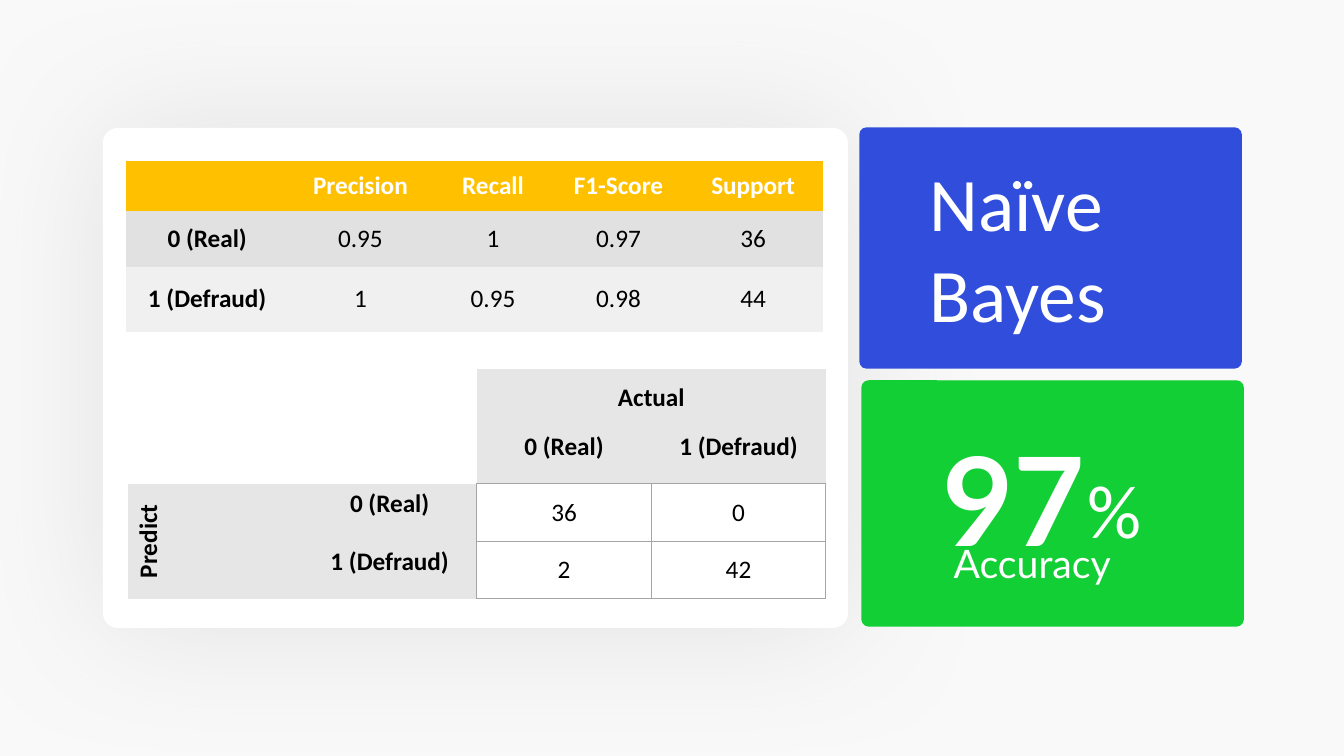
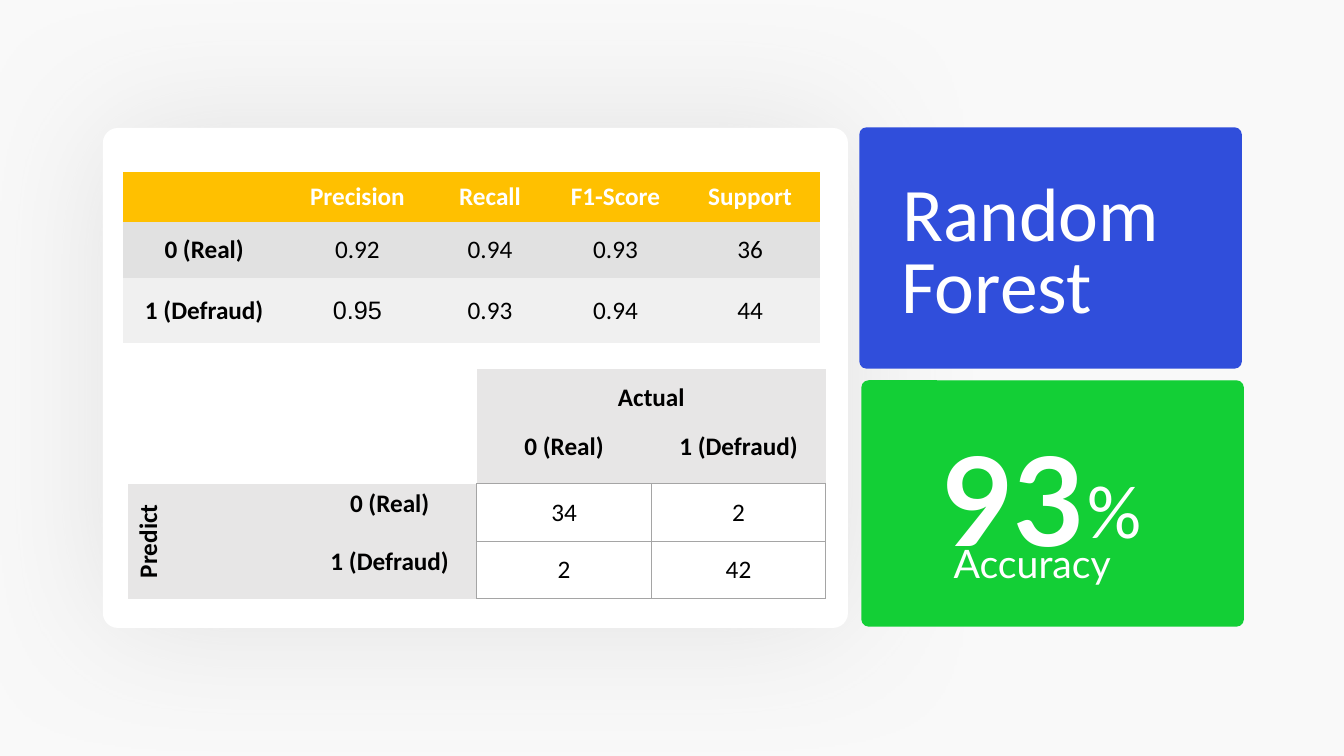
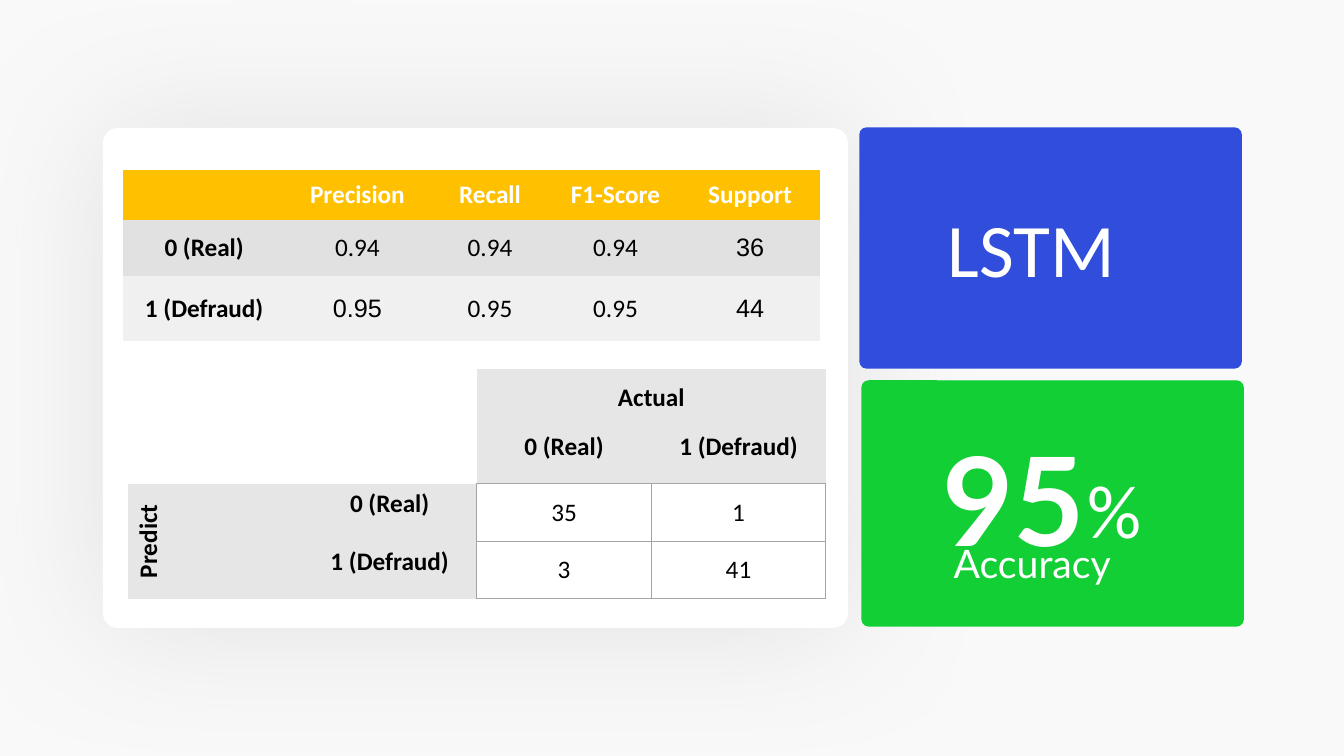
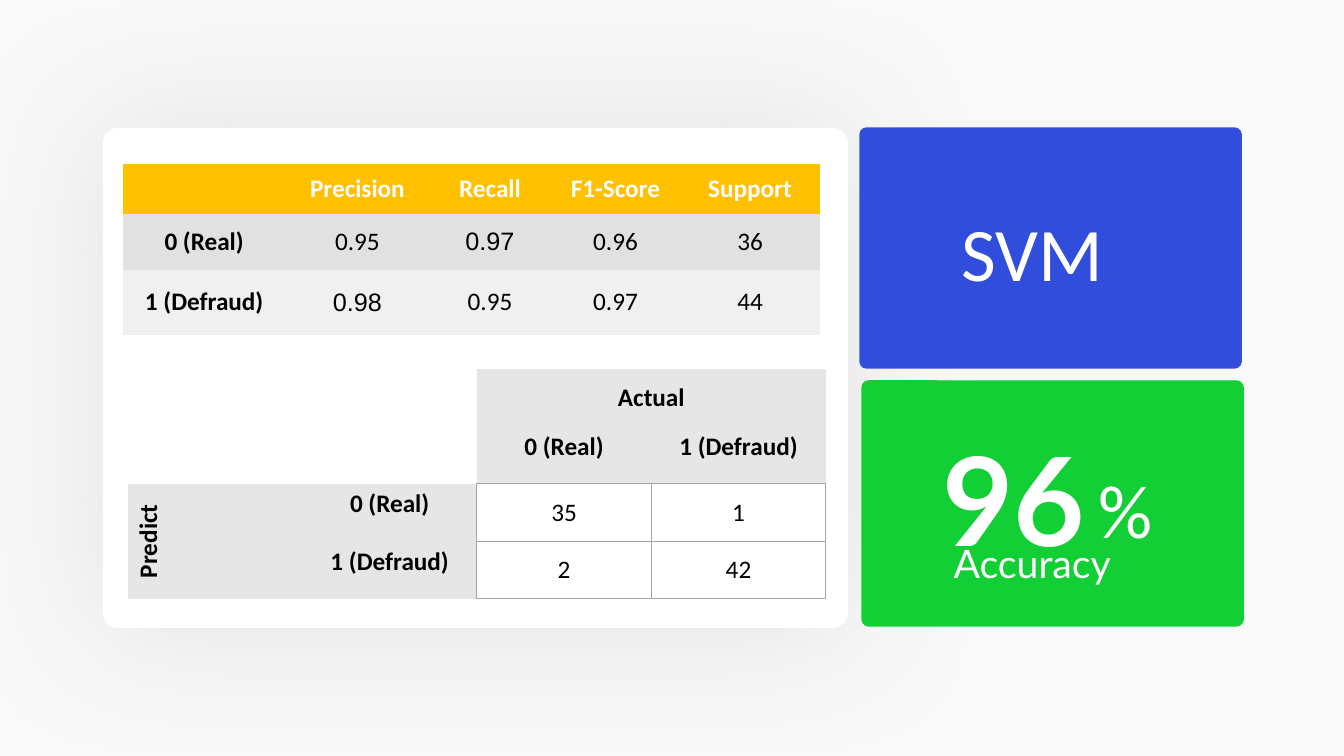
from dataclasses import dataclass
from itertools import product

from lxml import etree
from pptx import Presentation
from pptx import util as u
from pptx.dml import color
from pptx.enum import shapes, text
from pptx.oxml import ns


# Theme: every colour, font and type size
@dataclass(frozen=True)
class Theme:
    page: str = "F9F9F9"
    white: str = "FFFFFF"
    ink: str = "000000"
    blue: str = "304EDB"
    green: str = "13CF36"
    amber: str = "FFC000"
    bands: tuple[str, ...] = ("E1E1E1", "F0F0F0")
    label: str = "E7E6E6"
    grid: str = "A5A5A5"
    shadow: str = "BFBFBF"
    font: str = "Calibri"
    alt_font: str = "Arial"
    score_font: str = "Lato"
    title_size: int = 54
    score_size: int = 88
    caption_size: int = 28
    table_size: int = 18


T = Theme()
NO_TABLE_STYLE = "{2D5ABB26-0587-4C30-8999-92F81FD0307C}"
CLASSES = ("0 (Real)", "1 (Defraud)")
METRICS = ("", "Precision", "Recall", "F1-Score", "Support")
TEXT_WIDTH = 7.59


# Content
@dataclass(frozen=True)
class Card:
    x: float
    y: float
    w: float
    h: float
    fill: str
    radius: float
    floating: bool = False


@dataclass(frozen=True)
class Label:
    text: str
    x: float
    y: float
    h: float = 1.01
    size: int = T.title_size
    font: str = T.font
    bold: bool = False


@dataclass(frozen=True)
class Model:
    titles: tuple[Label, ...]
    accuracy: str
    metrics_at: tuple[float, float]
    metrics: tuple[tuple[str, ...], ...]
    confusion: tuple[tuple[str, ...], ...]
    alt_cells: tuple[tuple[int, int], ...] = ()  # cells set in the second font
    percent_x: float = 10.69


CARDS = (
    Card(1.02, 1.27, 7.39, 4.96, T.white, 0.03, floating=True),
    Card(8.53, 1.27, 3.78, 2.38, T.blue, 0.027),
    Card(8.55, 3.78, 3.78, 2.43, T.green, 0.027),
)

MODELS = (
    Model((Label("Naïve\nBayes", 9.12, 1.5, 1.92),), "97", (1.25, 1.6),
          (("0.95", "1", "0.97", "36"), ("1", "0.95", "0.98", "44")),
          (("36", "0"), ("2", "42"))),
    Model((Label("Random", 8.85, 1.6), Label("Forest", 8.84, 2.31)), "93", (1.22, 1.71),
          (("0.92", "0.94", "0.93", "36"), ("0.95", "0.93", "0.94", "44")),
          (("34", "2"), ("2", "42")), alt_cells=((2, 1),)),
    Model((Label("LSTM", 9.3, 1.95),), "95", (1.22, 1.69),
          (("0.94", "0.94", "0.94", "36"), ("0.95", "0.95", "0.95", "44")),
          (("35", "1"), ("3", "41")), alt_cells=((1, 4), (2, 1), (2, 4))),
    Model((Label("SVM", 9.44, 1.99),), "96", (1.22, 1.63),
          (("0.95", "0.97", "0.96", "36"), ("0.98", "0.95", "0.97", "44")),
          (("35", "1"), ("2", "42")), alt_cells=((1, 2), (2, 1)), percent_x=10.8),
)


# Helpers
def rgb(value: str) -> color.RGBColor:
    return color.RGBColor.from_string(value)


def xml_line(tag: str, value: str, points: float):
    ln = etree.Element(ns.qn(f"a:{tag}"), w=str(u.Pt(points)))
    fill = etree.SubElement(ln, ns.qn("a:solidFill"))
    etree.SubElement(fill, ns.qn("a:srgbClr"), val=value)
    return ln


def format_text(tf, size: int, font: str, ink: str, bold: bool) -> None:
    for p in tf.paragraphs:
        for r in p.runs:
            r.font.size, r.font.name, r.font.bold = u.Pt(size), font, bold
            r.font.color.rgb = rgb(ink)


def add_card(s, card: Card) -> None:
    sp = s.shapes.add_shape(shapes.MSO_SHAPE.ROUNDED_RECTANGLE, u.Inches(card.x),
                            u.Inches(card.y), u.Inches(card.w), u.Inches(card.h))
    sp.adjustments[0] = card.radius
    sp.fill.solid()
    sp.fill.fore_color.rgb = rgb(card.fill)
    sp.shadow.inherit = False
    if card.floating:
        sp.line.fill.background()
        effects = sp._element.spPr.find(ns.qn("a:effectLst"))
        glow = etree.SubElement(effects, ns.qn("a:outerShdw"), blurRad=str(u.Pt(100)),
                                algn="ctr", rotWithShape="0")
        clr = etree.SubElement(glow, ns.qn("a:srgbClr"), val=T.shadow)
        etree.SubElement(clr, ns.qn("a:alpha"), val="40000")
    else:
        sp.line.color.rgb = rgb(card.fill)
        sp.line.width = u.Pt(1)


def add_label(s, label: Label) -> None:
    sp = s.shapes.add_textbox(u.Inches(label.x), u.Inches(label.y),
                              u.Inches(TEXT_WIDTH), u.Inches(label.h))
    tf = sp.text_frame
    tf.word_wrap = True
    tf.auto_size = text.MSO_AUTO_SIZE.SHAPE_TO_FIT_TEXT
    tf.text = label.text
    format_text(tf, label.size, label.font, T.white, label.bold)


def add_table(s, x: float, y: float, cols: tuple[float, ...], rows: tuple[float, ...]):
    frame = s.shapes.add_table(len(rows), len(cols), u.Inches(x), u.Inches(y),
                               u.Inches(sum(cols)), u.Inches(sum(rows)))
    table = frame.table
    table.first_row = table.horz_banding = False
    table._tbl.tblPr.find(ns.qn("a:tableStyleId")).text = NO_TABLE_STYLE
    for col, width in zip(table.columns, cols):
        col.width = u.Inches(width)
    for row, height in zip(table.rows, rows):
        row.height = u.Inches(height)
    return table


def set_cell(cell, value: str, fill: str, ink: str = T.ink, bold: bool = True,
             font: str = T.font, middle: bool = True, borders: str = "",
             outlined: bool = False) -> None:
    cell.fill.solid()
    cell.fill.fore_color.rgb = rgb(fill)
    if middle:
        cell.vertical_anchor = text.MSO_ANCHOR.MIDDLE
    for i, side in enumerate(borders):
        cell._tc.get_or_add_tcPr().insert(i, xml_line(f"ln{side}", T.grid, 1))
    if not value:
        return
    tf = cell.text_frame
    tf.text = value
    tf.paragraphs[0].alignment = text.PP_ALIGN.CENTER
    format_text(tf, T.table_size, font, ink, bold)
    if outlined:
        tf.paragraphs[0].runs[0].font._element.insert(0, xml_line("ln", T.ink, 0.75))


# Precision, recall, F1 and support per class
def add_metrics(s, model: Model) -> None:
    table = add_table(s, *model.metrics_at, (1.61, 1.43, 1.2, 1.29, 1.38), (0.49, 0.56, 0.64))
    for c, heading in enumerate(METRICS):
        set_cell(table.cell(0, c), heading, T.amber, T.white)
    for r, (name, values, band) in enumerate(zip(CLASSES, model.metrics, T.bands), 1):
        for c, value in enumerate((name, *values)):
            font = T.alt_font if (r, c) in model.alt_cells else T.font
            set_cell(table.cell(r, c), value, band, bold=c == 0, font=font)


# Confusion matrix of predicted against actual class
def add_confusion(s, model: Model) -> None:
    table = add_table(s, 1.27, 3.66, (1.73,) * 4, (0.57,) * 4)
    for r, c in product(range(2), repeat=2):
        set_cell(table.cell(r, c), "", T.white)
        set_cell(table.cell(r + 2, c + 2), model.confusion[r][c], T.white, bold=False,
                 borders="LRTB", outlined=True)
    for i, name in enumerate(CLASSES, 2):
        set_cell(table.cell(1, i), name, T.label, middle=False, borders="B")
        set_cell(table.cell(i, 1), name, T.label, middle=False, borders="R")
    actual, predict = table.cell(0, 2), table.cell(2, 0)
    actual.merge(table.cell(0, 3))
    predict.merge(table.cell(3, 0))
    set_cell(actual, "Actual", T.label)
    set_cell(predict, "Predict", T.label)
    predict._tc.get_or_add_tcPr().set("vert", "vert270")


def add_model(prs, model: Model) -> None:
    s = prs.slides.add_slide(prs.slide_layouts[6])
    for card in CARDS:
        add_card(s, card)
    score = (
        Label(model.accuracy, 9.25, 4.15, 1.58, T.score_size, T.score_font, bold=True),
        Label("%", model.percent_x, 4.54),
        Label("Accuracy", 9.36, 5.3, 0.57, T.caption_size, T.score_font),
    )
    for label in model.titles + score:
        add_label(s, label)
    add_metrics(s, model)
    add_confusion(s, model)


def main() -> None:
    prs = Presentation()
    prs.slide_width, prs.slide_height = u.Inches(13.33), u.Inches(7.5)
    page = prs.slide_master.background.fill
    page.solid()
    page.fore_color.rgb = rgb(T.page)
    for model in MODELS:
        add_model(prs, model)
    prs.save("out.pptx")


if __name__ == "__main__":
    main()
